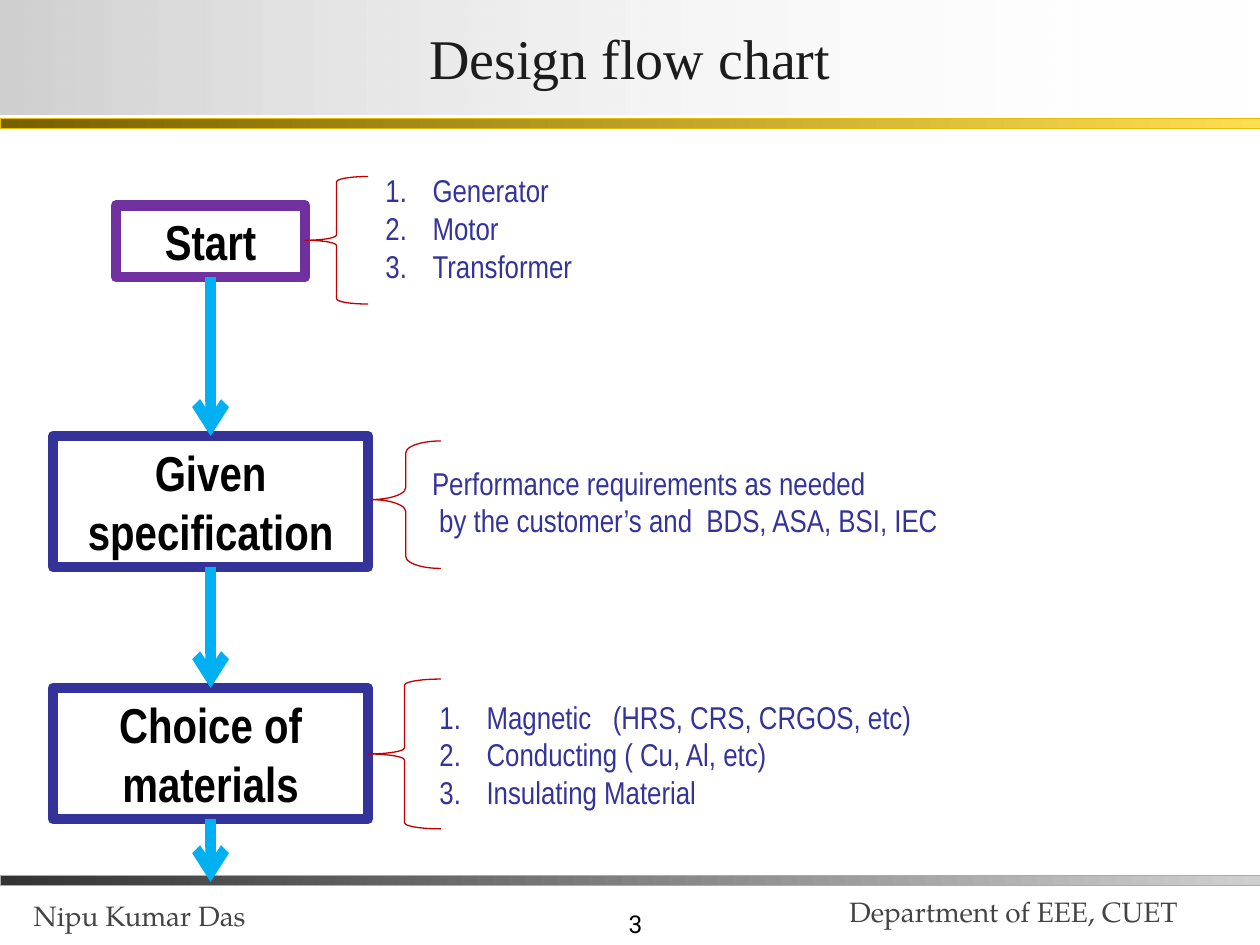
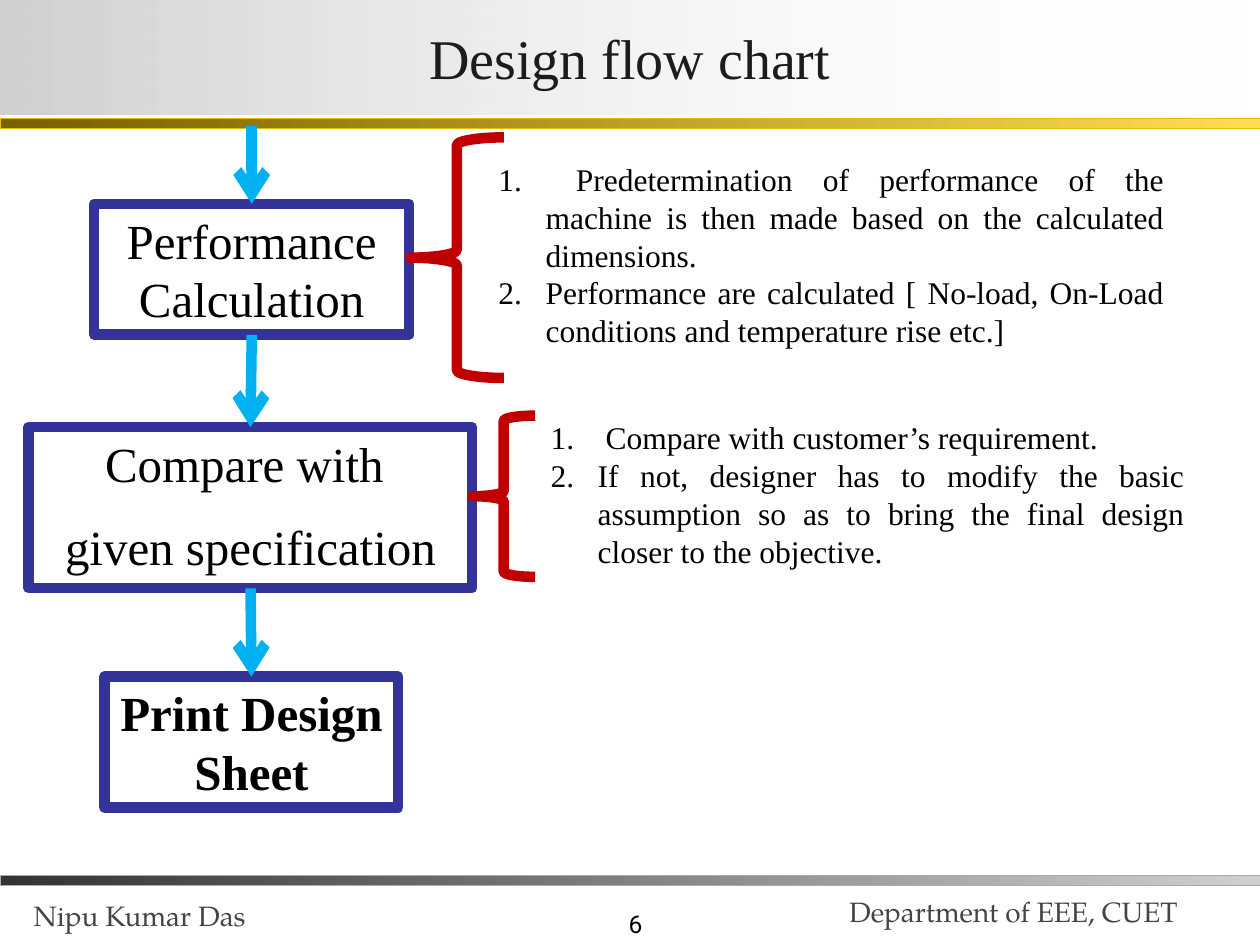
from dataclasses import dataclass

from lxml.etree import SubElement
from pptx import Presentation
from pptx.dml.color import RGBColor
from pptx.enum.shapes import MSO_CONNECTOR, MSO_SHAPE
from pptx.enum.text import MSO_ANCHOR, PP_ALIGN
from pptx.oxml.ns import qn
from pptx.util import Cm, Pt


@dataclass(frozen=True)
class Theme:
    ink: str = "000000"
    title_ink: str = "1C1C1C"
    footer_ink: str = "444444"
    indigo: str = "333399"
    purple: str = "7030A0"
    arrow: str = "00B0F0"
    brace: str = "C00000"
    white: str = "FFFFFF"
    title_band: tuple = ("D0D0D0", "FFFFFF", None)
    gold_band: tuple = ("766000", "FFDE53", "E8BC00")
    grey_band: tuple = ("333333", "D0D0D0", "ABABAB")
    serif: str = "Times New Roman"
    narrow: str = "Arial Narrow"
    footer_font: str = "TeX Gyre Pagella"
    number_font: str = "Roboto"
    title_size: int = 32
    box_size: int = 28
    note_size: int = 18
    footer_size: int = 16
    number_size: int = 14
    thick: float = 6
    thin: float = 0.75
    hairline: float = 0.25


theme = Theme()
SLIDE_WIDTH = 25.4


def add_shape(slide, kind, place, line=None, width=theme.thick, gradient=None):
    shape = slide.shapes.add_shape(kind, *map(Cm, place))
    shape.shadow.inherit = False
    if gradient:
        shape.fill.gradient()
        shape.fill.gradient_angle = 0
        for stop, color in zip(shape.fill.gradient_stops, gradient):
            stop.color.rgb = RGBColor.from_string(color)
    else:
        shape.fill.background()
    if line:
        shape.line.color.rgb = RGBColor.from_string(line)
        shape.line.width = Pt(width)
    else:
        shape.line.fill.background()
    return shape


def write_text(shape, lines, font, size, color, bold=False, align=PP_ALIGN.LEFT,
               anchor=MSO_ANCHOR.TOP, gap=0, numbered=False, wrap=True):
    frame = shape.text_frame
    frame.word_wrap = wrap
    frame.vertical_anchor = anchor
    for index, line in enumerate(lines):
        paragraph = frame.add_paragraph() if index else frame.paragraphs[0]
        paragraph.text = line
        paragraph.alignment = align
        if index and gap:
            paragraph.space_before = Pt(gap)
        if numbered:
            properties = paragraph._p.get_or_add_pPr()
            properties.set("marL", str(Cm(0.95)))
            properties.set("indent", str(-Cm(0.95)))
            SubElement(properties, qn("a:buFont"), typeface="+mj-lt")
            SubElement(properties, qn("a:buAutoNum"), type="arabicPeriod")
        paragraph.font.name = font
        paragraph.font.size = Pt(size)
        paragraph.font.bold = bold
        paragraph.font.color.rgb = RGBColor.from_string(color)


# Footer texts: place, font, size, colour, alignment; the page number is filled in per slide
footer_style = (theme.footer_font, theme.footer_size, theme.footer_ink, PP_ALIGN.LEFT)
number_style = (theme.number_font, theme.number_size, theme.ink, PP_ALIGN.RIGHT)
footers = [
    ("Nipu Kumar Das", (0.43, 17.35, 8.74, 1.57), footer_style),
    ("Department of EEE, CUET", (16.87, 17.27, 8.5, 1.57), footer_style),
    (None, (7.92, 17.78, 5.28, 1.27), number_style),
]

# Boxes: lines, place, outline, bold
# Braces: place, adjustments
# Notes: lines, place, numbered
pages = [
    dict(
        number="3", font=theme.narrow, note_color=theme.indigo, brace_width=theme.thin,
        justified=False, arrow_in=None, arrow_out=17.78,
        boxes=[
            (["Start"], (2.34, 4.14, 3.81, 1.45), theme.purple, True),
            (["Given specification"], (1.07, 8.79, 6.35, 2.64), theme.indigo, True),
            (["Choice of materials"], (1.07, 13.87, 6.35, 2.64), theme.indigo, True),
        ],
        braces=[
            ((6.15, 3.56, 1.27, 2.57), ()),
            ((7.47, 8.89, 1.42, 2.57), (0.17, 0.46)),
            ((7.42, 13.69, 1.47, 3.02), ()),
        ],
        notes=[
            (["Generator", "Motor", "Transformer"], (7.52, 3.33, 4.32, 2.57), True),
            (["Performance requirements as needed",
              " by the customer’s and  BDS, ASA, BSI, IEC"], (8.46, 9.22, 10.85, 1.8), False),
            (["Magnetic   (HRS, CRS, CRGOS, etc)", "Conducting ( Cu, Al, etc)",
              "Insulating Material"], (8.61, 13.94, 10.13, 2.57), True),
        ],
    ),
    dict(
        number="6", font=theme.serif, note_color=theme.ink, brace_width=theme.thick,
        justified=True, arrow_in=2.54, arrow_out=None,
        boxes=[
            (["Performance Calculation"], (1.9, 4.11, 6.35, 2.64), theme.indigo, False),
            (["Compare with ", "given specification"], (0.58, 8.61, 8.94, 3.25),
             theme.indigo, False),
            (["Print Design Sheet"], (2.11, 13.64, 5.92, 2.64), theme.indigo, True),
        ],
        braces=[
            ((8.26, 2.77, 1.9, 4.85), ()),
            ((9.52, 8.38, 1.27, 3.25), ()),
        ],
        notes=[
            ([" Predetermination of performance of the machine is then made based on the "
              "calculated dimensions.",
              "Performance are calculated [ No-load, On-Load conditions and temperature "
              "rise etc.]"], (9.8, 3.1, 13.92, 4.11), True),
            ([" Compare with customer’s requirement.",
              "If not, designer has to modify the basic assumption so as to bring the final "
              "design closer to the objective."], (10.85, 8.31, 13.28, 3.33), True),
        ],
    ),
]

presentation = Presentation()
presentation.slide_width = Cm(SLIDE_WIDTH)
presentation.slide_height = Cm(19.05)

for page in pages:
    slide = presentation.slides.add_slide(presentation.slide_layouts[6])

    # Footer
    for text, place, (font, size, color, align) in footers:
        footer = slide.shapes.add_textbox(*map(Cm, place))
        write_text(footer, [text or page["number"]], font, size, color,
                   align=align, anchor=MSO_ANCHOR.BOTTOM)

    # Bands
    for top, (start, end, line) in ((17.65, theme.grey_band), (2.39, theme.gold_band)):
        add_shape(slide, MSO_SHAPE.RECTANGLE, (0, top, SLIDE_WIDTH, 0.2), line,
                  theme.hairline, (start, end))

    # Title, on a band that fades out to the right
    title = add_shape(slide, MSO_SHAPE.RECTANGLE, (0, 0, SLIDE_WIDTH, 2.31),
                      gradient=theme.title_band[:2])
    last_color = list(title.element.spPr.iter(qn("a:srgbClr")))[-1]
    SubElement(last_color, qn("a:alpha"), val="0")
    frame = title.text_frame
    frame.margin_left = frame.margin_right = Cm(0.05)
    frame.margin_top = frame.margin_bottom = Cm(0.03)
    write_text(title, ["Design flow chart"], theme.serif, theme.title_size, theme.title_ink,
               align=PP_ALIGN.CENTER, anchor=MSO_ANCHOR.MIDDLE)

    # Flow boxes
    boxes = []
    for lines, place, outline, bold in page["boxes"]:
        box = add_shape(slide, MSO_SHAPE.RECTANGLE, place, outline)
        write_text(box, lines, page["font"], theme.box_size, theme.ink, bold,
                   PP_ALIGN.CENTER, gap=theme.box_size / 2)
        boxes.append(box)

    # Arrows from box to box, and to or from the neighbouring page
    for upper, lower in zip([None] + boxes, boxes + [None]):
        start, end = page["arrow_in"], page["arrow_out"]
        if (upper is None and start is None) or (lower is None and end is None):
            continue
        anchor_box = upper or lower
        center = anchor_box.left + anchor_box.width // 2
        begin_y = upper.top + upper.height if upper else Cm(start)
        end_y = lower.top if lower else Cm(end)
        arrow = slide.shapes.add_connector(MSO_CONNECTOR.STRAIGHT, center, begin_y, center, end_y)
        if upper:
            arrow.begin_connect(upper, 2)
        if lower:
            arrow.end_connect(lower, 0)
        arrow.line.color.rgb = RGBColor.from_string(theme.arrow)
        arrow.line.width = Pt(theme.thick)
        SubElement(arrow.line._get_or_add_ln(), qn("a:tailEnd"), type="arrow")
        SubElement(arrow._element.spPr, qn("a:effectLst"))

    # Braces
    for place, adjustments in page["braces"]:
        brace = add_shape(slide, MSO_SHAPE.LEFT_BRACE, place, theme.brace, page["brace_width"])
        for index, value in enumerate(adjustments):
            brace.adjustments[index] = value

    # Notes beside the braces
    for lines, place, numbered in page["notes"]:
        note = slide.shapes.add_textbox(*map(Cm, place))
        if page["justified"]:
            note.fill.solid()
            note.fill.fore_color.rgb = RGBColor.from_string(theme.white)
        write_text(note, lines, page["font"], theme.note_size, page["note_color"],
                   align=PP_ALIGN.JUSTIFY if page["justified"] else PP_ALIGN.LEFT,
                   numbered=numbered, wrap=page["justified"])

presentation.save("out.pptx")
